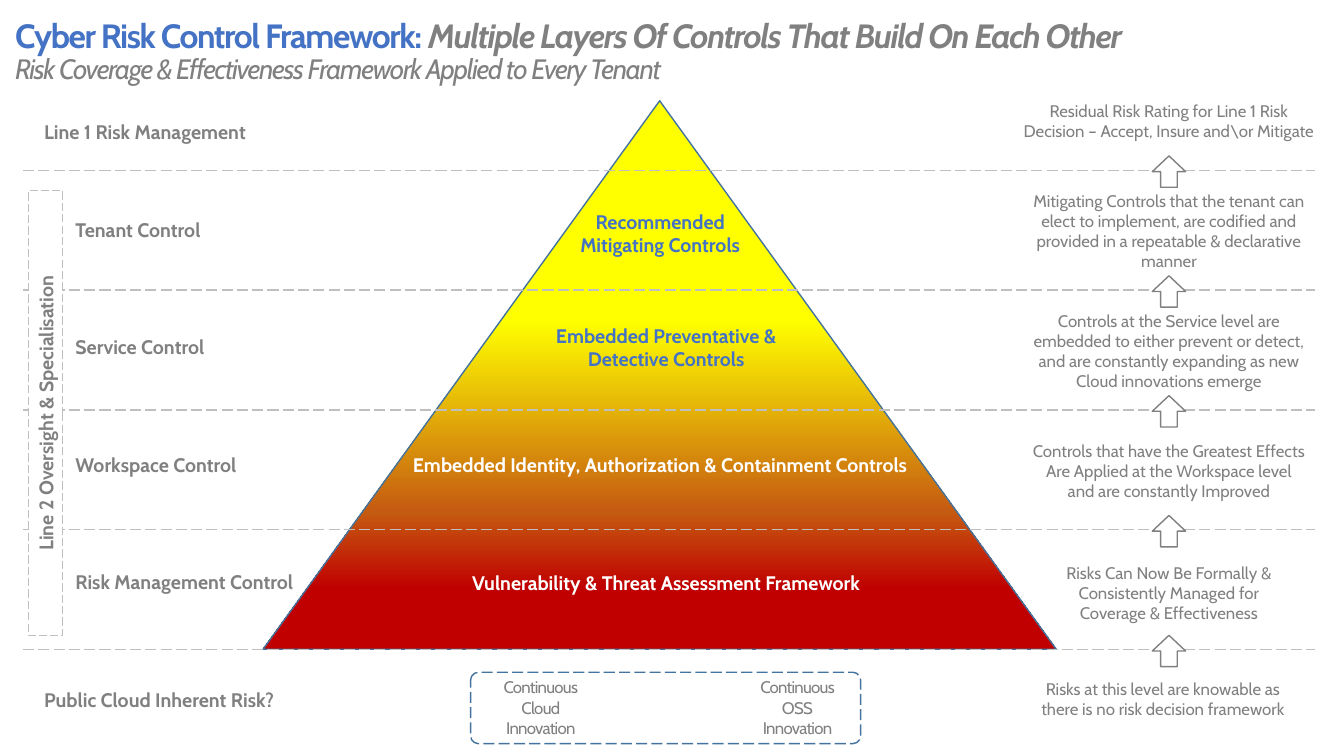
from copy import deepcopy

from lxml import etree
from pptx import Presentation
from pptx.dml.color import RGBColor
from pptx.enum.dml import MSO_LINE
from pptx.enum.shapes import MSO_CONNECTOR, MSO_SHAPE
from pptx.enum.text import MSO_ANCHOR, MSO_AUTO_SIZE, PP_ALIGN
from pptx.oxml.ns import qn
from pptx.util import Cm, Pt

LEFT, MID = PP_ALIGN.LEFT, PP_ALIGN.CENTER
DASH = MSO_LINE.LONG_DASH
BLUE, GREY, WHITE = "4472C4", "808080", "FFFFFF"
EDGE, RULE = "43739E", "BFBFBF"


def paint(color, code):
    """Give a colour object a hex value."""
    color.rgb = RGBColor.from_string(code)


class Deck:
    """Holds the style and the current slide."""

    font = "Cabin"

    def __init__(self):
        """Start a wide deck with one title slide."""
        self.prs = Presentation()
        self.prs.slide_width, self.prs.slide_height = Cm(33.87), Cm(19.05)
        self.slide = self.prs.slides.add_slide(self.prs.slide_layouts[5])
        self.shapes = self.slide.shapes

    def style(self, para, size, code, bold=False, align=MID, gap=0):
        """Format a paragraph; gap is the letter spacing in points."""
        para.alignment = align
        font = para.font
        font.name, font.size, font.bold = self.font, Pt(size), bold
        paint(font.color, code)
        if gap:
            for run in para.runs:
                run._r.get_or_add_rPr().set("spc", str(int(gap * 100)))

    def title(self, lines, box):
        """Fill the title; each line is a size, a bold flag and coloured runs."""
        shape = self.shapes.title
        shape.left, shape.top, shape.width, shape.height = map(Cm, box)
        frame = shape.text_frame
        frame.auto_size = MSO_AUTO_SIZE.NONE
        frame.vertical_anchor = MSO_ANCHOR.MIDDLE
        frame.margin_left = frame.margin_right = Cm(0.33)
        for i, (size, bold, runs) in enumerate(lines):
            para = frame.add_paragraph() if i else frame.paragraphs[0]
            para.line_spacing = 0.9
            for words, code, slant in runs:
                run = para.add_run()
                run.text, run.font.italic = words, slant
                paint(run.font.color, code)
            self.style(para, size, GREY, bold, LEFT, -1)

    def text(self, words, x, y, width, size, code, height=0.86, **look):
        """Add a wrapped text box."""
        box = self.shapes.add_textbox(Cm(x), Cm(y), Cm(width), Cm(height))
        frame = box.text_frame
        frame.word_wrap = True
        frame.text = words
        for para in frame.paragraphs:
            self.style(para, size, code, **look)

    def shape(self, kind, box, line, fill=None, width=1, dash=None):
        """Add an outlined preset shape."""
        shape = self.shapes.add_shape(kind, *map(Cm, box))
        shape.shadow.inherit = False
        if fill:
            shape.fill.solid()
            paint(shape.fill.fore_color, fill)
        else:
            shape.fill.background()
        paint(shape.line.color, line)
        shape.line.width = Pt(width)
        if dash:
            shape.line.dash_style = dash
        return shape

    def blend(self, shape, stops):
        """Fill a shape with a gradient that runs downwards."""
        fill = shape.fill
        fill.gradient()
        fill.gradient_angle = 270
        group = fill._xPr.find(qn("a:gradFill")).find(qn("a:gsLst"))
        while len(group) < len(stops):
            group.append(deepcopy(group[0]))
        for stop, (place, code) in zip(fill.gradient_stops, stops):
            stop.position = place
            paint(stop.color, code)

    def rule(self, x, end, y):
        """Add a level dashed line."""
        line = self.shapes.add_connector(
            MSO_CONNECTOR.STRAIGHT, Cm(x), Cm(y), Cm(end), Cm(y))
        paint(line.line.color, RULE)
        line.line.width = Pt(1)
        line.line.dash_style = DASH
        etree.SubElement(line._element.spPr, qn("a:effectLst"))


deck = Deck()
deck.title([
    (24, True, [
        ("Cyber Risk Control Framework: ", BLUE, False),
        ("Multiple Layers Of Controls That Build On Each Other", GREY, True)]),
    (20, False, [
        ("Risk Coverage & Effectiveness Framework Applied to Every Tenant",
         GREY, True)]),
], (0.05, 0.33, 33.1, 1.98))

peak = deck.shape(MSO_SHAPE.ISOSCELES_TRIANGLE, (6.63, 2.54, 19.99, 13.82), EDGE)
deck.blend(peak, [(0.4, "FFFF00"), (0.75, "C55A11"), (0.89, "C00000")])

# Forces below the pyramid
base = deck.shape(MSO_SHAPE.ROUNDED_RECTANGLE, (11.86, 16.94, 9.83, 1.8),
                  EDGE, dash=DASH)
base.adjustments[0] = 0.11
for force, mid in (("Cloud", 13.63), ("OSS", 20.1)):
    deck.text(f"Continuous\n{force}\nInnovation", mid - 1.4, 16.94, 2.8,
              12, GREY, 1.8, gap=-0.5)

# Dashed rules, each with an arrow to the layer above
TOP, STEP = 4.29, 3.02
for i in range(5):
    y = TOP + i * STEP
    deck.rule(0.58, 33.15, y)
    deck.shape(MSO_SHAPE.UP_ARROW, (29.04, y - 0.36, 0.84, 0.79), GREY, WHITE)

# Row names on the left
names = [
    ("Line 1 Risk Management", 0.86, 2.9),
    ("Public Cloud Inherent Risk?", 0.86, 17.2),
]
layers = ("Tenant", "Service", "Workspace", "Risk Management")
names += [(f"{layer} Control", 1.65, 5.36 + i * 2.96)
          for i, layer in enumerate(layers)]
for words, x, y in names:
    deck.text(words, x, y, 8.6, 14, GREY, bold=True, align=LEFT)

# Controls within the pyramid: words, centre, top, width, colour
cores = [
    ("Recommended Mitigating Controls", 16.64, 5.16, 5.28, BLUE),
    ("Embedded Preventative & Detective Controls", 16.79, 8.03, 7.52, BLUE),
    ("Embedded Identity, Authorization & Containment Controls",
     16.64, 11.28, 13.84, WHITE),
    ("Vulnerability & Threat Assessment Framework", 16.79, 14.27, 12.6, WHITE),
]
for words, mid, y, width, code in cores:
    deck.text(words, mid - width / 2, y, width, 14, code, bold=True)

# Notes on the right: words, centre, top, width
notes = [
    ("Residual Risk Rating for Line 1 Risk Decision – Accept, Insure "
     "and\\or Mitigate", 29.46, 2.41, 7.95),
    ("Mitigating Controls that the tenant can elect to implement, are "
     "codified and provided in a repeatable & declarative manner",
     29.46, 4.67, 7.37),
    ("Controls at the Service level are embedded to either prevent or "
     "detect, and are constantly expanding as new Cloud innovations emerge",
     29.46, 7.7, 7.37),
    ("Controls that have the Greatest Effects Are Applied at the Workspace "
     "level and are constantly Improved", 29.46, 10.97, 7.37),
    ("Risks Can Now Be Formally & Consistently Managed for Coverage & "
     "Effectiveness", 29.46, 14.05, 6.6),
    ("Risks at this level are knowable as there is no risk decision "
     "framework", 29.31, 16.97, 7.37),
]
for words, mid, y, width in notes:
    deck.text(words, mid - width / 2, y, width, 12, GREY)

# Upright band for the second line
side = deck.shape(MSO_SHAPE.RECTANGLE, (-4.47, 9.98, 11.23, 0.86),
                  RULE, WHITE, 0.75, DASH)
side.rotation = 270
side.text_frame.text = "Line 2 Oversight & Specialisation"
deck.style(side.text_frame.paragraphs[0], 14, GREY, True)

deck.prs.save("out.pptx")
